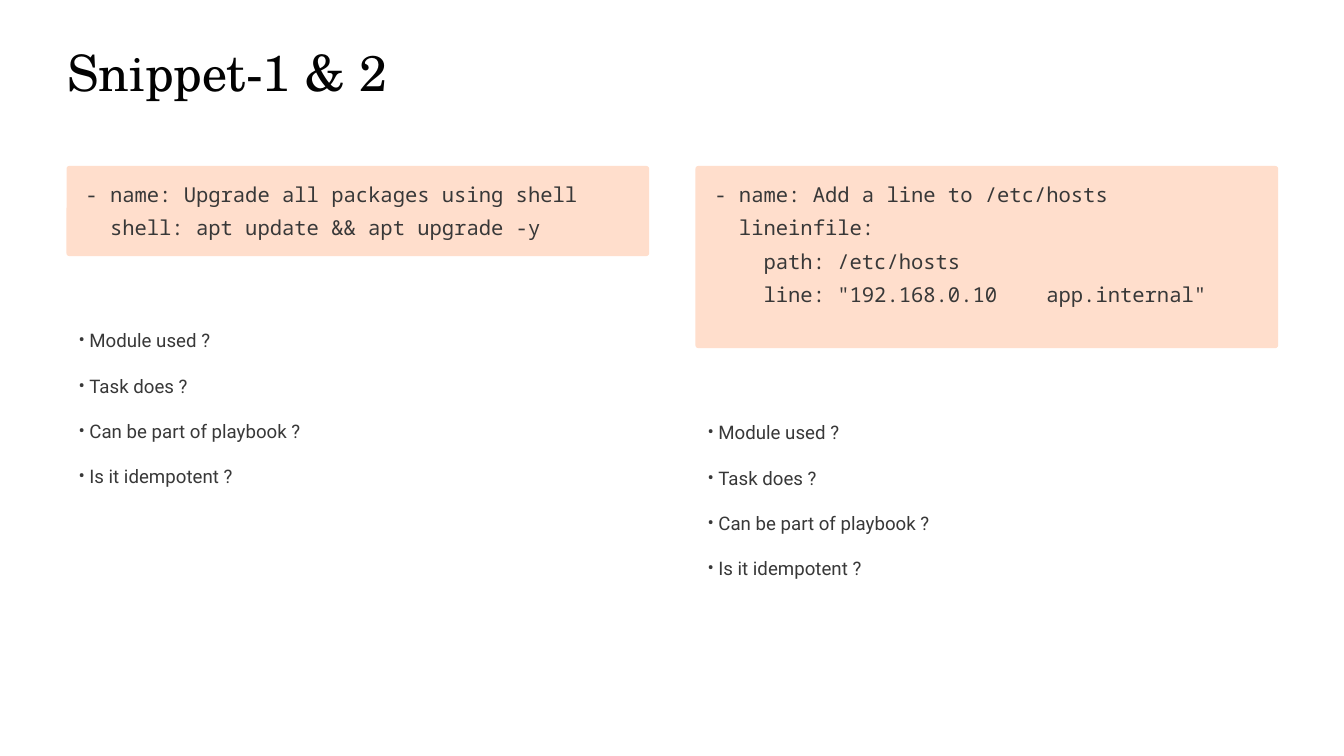
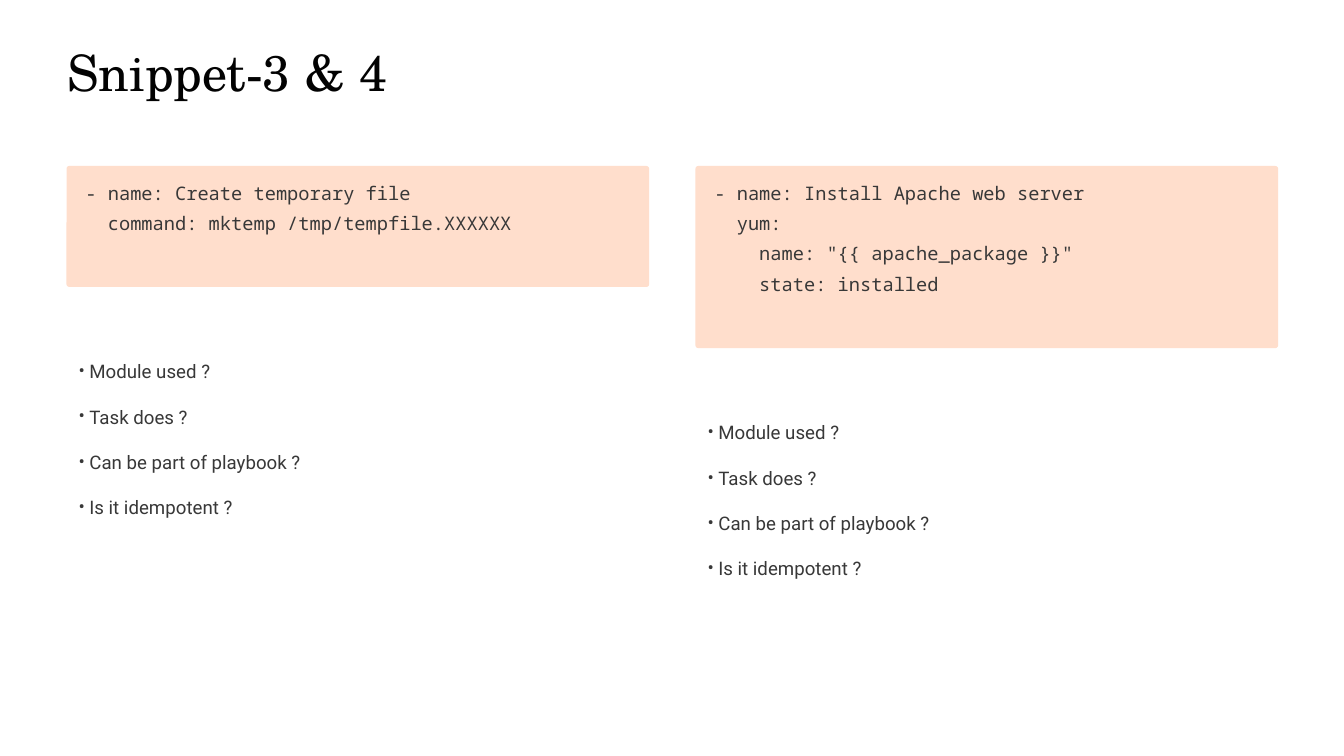
"""Build two slides that pair code snippets with review questions."""
import dataclasses

import lxml.etree
import pptx
import pptx.dml.color
import pptx.enum.shapes
import pptx.enum.text
import pptx.oxml.ns
import pptx.util

Inches, Pt = pptx.util.Inches, pptx.util.Pt

ASKS = ["Module used ?", "Task does ?", "Can be part of playbook ?", "Is it idempotent ?"]

SLIDES = [
    {"title": "Snippet-1 & 2", "style": "large", "cards": [
        (1.34, ["- name: Upgrade all packages using shell",
                "  shell: apt update && apt upgrade -y"]),
        (2.71, ["- name: Add a line to /etc/hosts",
                "  lineinfile:",
                "    path: /etc/hosts",
                '    line: "192.168.0.10    app.internal"']),
    ]},
    {"title": "Snippet-3 & 4", "style": "small", "cards": [
        (1.8, ["- name: Create temporary file",
               "  command: mktemp /tmp/tempfile.XXXXXX"]),
        (2.71, ["- name: Install Apache web server",
                "  yum:",
                '    name: "{{ apache_package }}"',
                "    state: installed"]),
    ]},
]


@dataclasses.dataclass(frozen=True)
class Style:
    """Face, size, line pitch and colour of a text."""
    face: str
    size: float
    pitch: float
    tint: str = "383838"


@dataclasses.dataclass(frozen=True)
class Theme:
    """Shared looks of the slides."""
    card: str = "FFDECC"
    title: Style = Style("TeX Gyre Schola", 53.7, 67.5, "020202")
    large: Style = Style("Noto Sans Mono", 22, 35.7)
    small: Style = Style("Noto Sans Mono", 20, 32.5)
    ask: Style = Style("Roboto", 20, 32.5)
    gap: float = 16


THEME = Theme()
WIDE, HIGH = 20, 11.25
EDGE, STEP, COL = 1, 9.36, 8.65
TOP, DROP, BLEED, ROUND = 2.47, 0.97, 0.01, 0.04
LIST = 2.7


def color(code):
    """Turn a hex code into a colour."""
    return pptx.dml.color.RGBColor.from_string(code)


def place(shape, *box):
    """Move and size a shape, in inches."""
    shape.left, shape.top, shape.width, shape.height = map(Inches, box)


def write(shape, lines, style, pad=(0, 0)):
    """Fill a shape with styled lines."""
    frame = shape.text_frame
    frame.text = "\n".join(lines)
    frame.word_wrap = True
    frame.auto_size = pptx.enum.text.MSO_AUTO_SIZE.NONE
    frame.vertical_anchor = pptx.enum.text.MSO_ANCHOR.TOP
    frame.margin_left = frame.margin_right = Inches(pad[0])
    frame.margin_top = frame.margin_bottom = Inches(pad[1])
    for para in frame.paragraphs:
        para.alignment = pptx.enum.text.PP_ALIGN.LEFT
        para.line_spacing = Pt(style.pitch)
        para.space_before = Pt(0)
        for run in para.runs:
            run.font.name, run.font.size = style.face, Pt(style.size)
            run.font.color.rgb = color(style.tint)


def add_card(slide, left, high, code, style):
    """Draw a rounded card that holds code."""
    kind = pptx.enum.shapes.MSO_SHAPE.ROUNDED_RECTANGLE
    box = (left - BLEED, TOP, COL + 2 * BLEED, high)
    card = slide.shapes.add_shape(kind, *map(Inches, box))
    card.adjustments[0] = ROUND / high
    card.shadow.inherit = False
    card.fill.solid()
    card.fill.fore_color.rgb = color(THEME.card)
    card.line.fill.background()
    write(card, code, style, (0.27, 0.1))


def fill_list(body, left, top):
    """Set the questions as a bullet list."""
    place(body, left, top, COL, LIST)
    write(body, ASKS, THEME.ask)
    for spot, para in enumerate(body.text_frame.paragraphs):
        props = para._p.get_or_add_pPr()
        props.set("marL", str(Inches(0.33)))
        props.set("indent", str(Inches(-0.16)))
        for tag, key, value in (("a:buFont", "typeface", THEME.ask.face),
                                ("a:buChar", "char", "•")):
            name = pptx.oxml.ns.qn(tag)
            lxml.etree.SubElement(props, name).set(key, value)
        if spot:
            para.space_before = Pt(THEME.gap)


def main():
    """Build and save the deck."""
    deck = pptx.Presentation()
    deck.slide_width, deck.slide_height = Inches(WIDE), Inches(HIGH)
    for page in SLIDES:
        slide = deck.slides.add_slide(deck.slide_layouts.get_by_name("Two Content"))
        title, *bodies = slide.placeholders
        place(title, EDGE, 0.57, 7.5, 1.15)
        write(title, [page["title"]], THEME.title)
        style = getattr(THEME, page["style"])
        for spot, (body, (high, code)) in enumerate(zip(bodies, page["cards"])):
            left = EDGE + spot * STEP
            add_card(slide, left, high, code, style)
            fill_list(body, left, TOP + high + DROP)
    deck.save("out.pptx")


if __name__ == "__main__":
    main()
